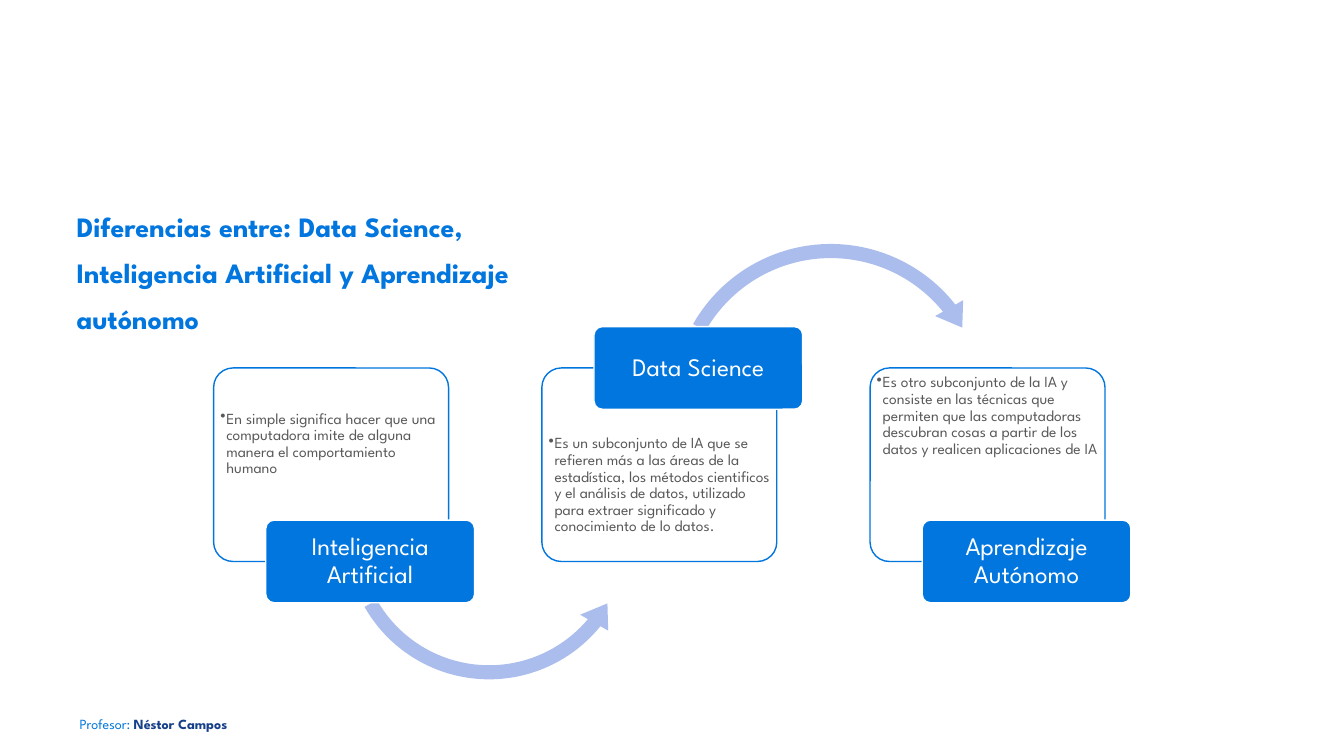
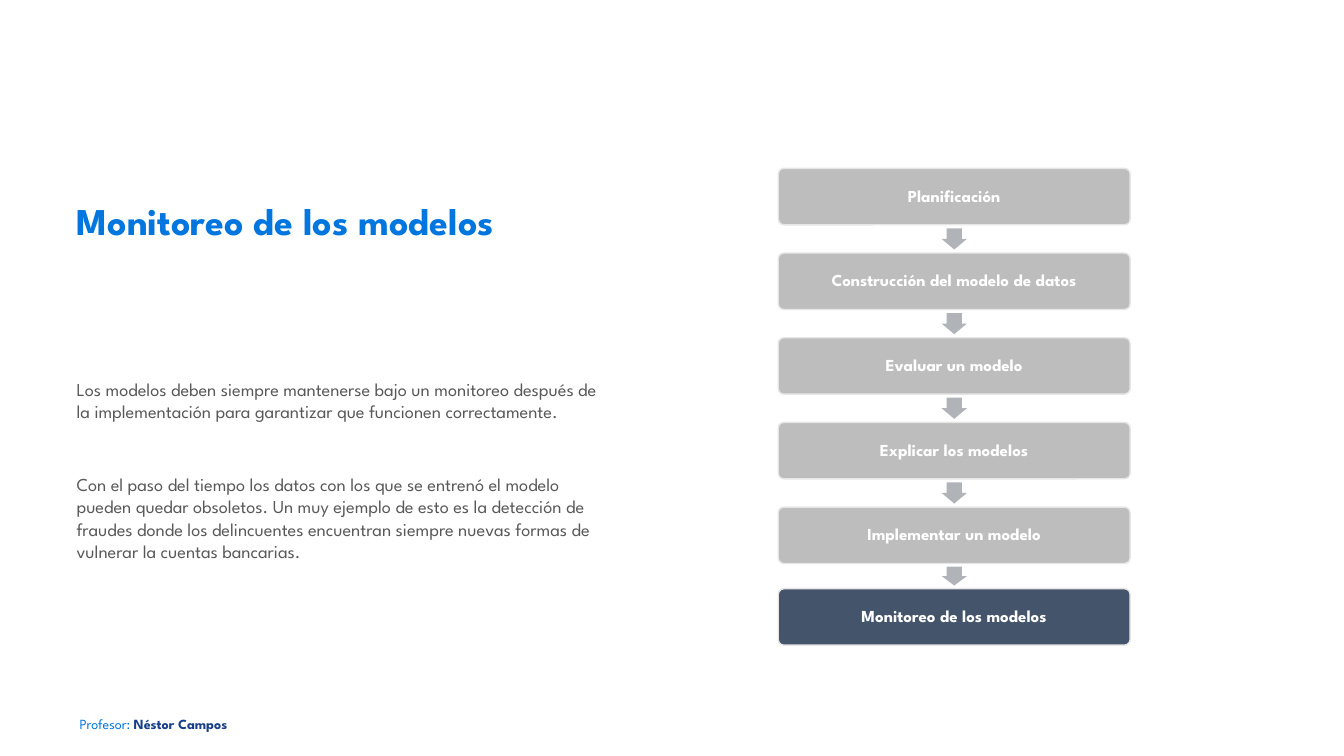
from lxml.etree import SubElement
from pptx import Presentation
from pptx.dml.color import RGBColor
from pptx.enum.shapes import MSO_SHAPE as SHAPE
from pptx.enum.text import MSO_ANCHOR as ANCHOR, PP_ALIGN as ALIGN
from pptx.oxml.ns import qn
from pptx.util import Inches, Pt

FONT = "League Spartan"
BLUE, NAVY, PERIWINKLE = "0176DE", "173F8A", "ABBDEC"
WHITE, GREY_TEXT, SLATE = "FFFFFF", "595959", "44546A"
GREY_STEP, GREY_EDGE, GREY_ARROW = "BDBDBD", "E7E6E6", "B0B4B9"
rgb = RGBColor.from_string

prs = Presentation()
prs.slide_width, prs.slide_height = Inches(13.33), Inches(7.5)
COL, ROW = prs.slide_width / 100, prs.slide_height / 100


def put(s, kind, x, y, w, h, fill=None, line=None, adj=()):
    box = [int(v) for v in (x * COL, y * ROW, w * COL, h * ROW)]
    if kind is None:
        return s.shapes.add_textbox(*box)
    sp = s.shapes.add_shape(kind, *box)
    sp.shadow.inherit = False
    sp.fill.solid()
    sp.fill.fore_color.rgb = rgb(fill)
    if line:
        sp.line.color.rgb = rgb(line)
        sp.line.width = Pt(1)
    else:
        sp.line.fill.background()
    for i, value in enumerate(adj):
        sp.adjustments[i] = value
    return sp


def write(sp, text, size, color, bold=False, spacing=0.9,
          align=ALIGN.LEFT, anchor=ANCHOR.TOP, inset=0):
    tf = sp.text_frame
    tf.word_wrap = True
    tf.vertical_anchor = anchor
    tf.margin_left = tf.margin_right = tf.margin_top = tf.margin_bottom = Inches(inset)
    tf.text = text
    for p in tf.paragraphs:
        p.alignment = align
        p.line_spacing = spacing
        for r in p.runs:
            r.font.name, r.font.size, r.font.bold = FONT, Pt(size), bold
            r.font.color.rgb = rgb(color)
    return tf


slides = []
for title, size in [
    ("Diferencias entre: Data Science, Inteligencia Artificial y Aprendizaje autónomo", 20),
    ("Monitoreo de los modelos", 27),
]:
    s = prs.slides.add_slide(prs.slide_layouts[6])
    tf = write(put(s, None, 5.93, 92.8, 15, 3.47), "Profesor: ", 10, BLUE, spacing=Pt(22))
    r = tf.paragraphs[0].add_run()
    r.text = "Néstor Campos"
    r.font.name, r.font.size, r.font.bold = FONT, Pt(10), True
    r.font.color.rgb = rgb(NAVY)
    write(put(s, None, 5.7, 26, 38.9, 9.33), title, size, BLUE, True, Pt(33))
    slides.append(s)
compare, monitor = slides

CARD_X, CARD_Y, CARD_W, CARD_H, CARD_STEP = 15.9, 48.67, 17.48, 25.6, 24.42
LABEL_W, LABEL_H, LABEL_SHIFT = 15.53, 10.93, 3.88
cards = [
    ("Inteligencia Artificial",
     "En simple significa hacer que una computadora imite de alguna manera el "
     "comportamiento humano",
     False, ANCHOR.MIDDLE,
     (SHAPE.LEFT_CIRCULAR_ARROW, 25.06, 50.8, 3.02, (9.85, 39.44, 150.41))),
    ("Data Science",
     "Es un subconjunto de IA que se refieren más a las áreas de la estadística, los "
     "métodos cientificos y el análisis de datos, utilizado para extraer significado y "
     "conocimiento de lo datos.",
     True, ANCHOR.MIDDLE,
     (SHAPE.CIRCULAR_ARROW, 49.36, 31.07, 3.32, (8.88, 321.53, 209.59))),
    ("Aprendizaje Autónomo",
     "Es otro subconjunto de la IA y consiste en las técnicas que permiten que las "
     "computadoras descubran cosas a partir de los datos y realicen aplicaciones de IA",
     False, ANCHOR.TOP, None),
]
for i, (label, text, label_on_top, anchor, arrow) in enumerate(cards):
    x = CARD_X + i * CARD_STEP
    sp = put(compare, SHAPE.ROUNDED_RECTANGLE, x, CARD_Y, CARD_W, CARD_H, WHITE, BLUE, [0.1])
    tf = write(sp, text, 11, GREY_TEXT, anchor=anchor, inset=0.01)
    if label_on_top:
        tf.margin_top = Inches(0.42)
    else:
        tf.margin_bottom = Inches(0.42)
    pPr = tf.paragraphs[0]._p.get_or_add_pPr()
    pPr.set("marL", str(Inches(0.06)))
    pPr.set("indent", str(-Inches(0.06)))
    SubElement(pPr, qn("a:buChar")).set("char", "•")
    if arrow:
        kind, left, top, side, angles = arrow
        adj = [0.14 / side, *(a * 0.6 for a in angles), 0.16 / side]
        put(compare, kind, left, top, Inches(side) / COL, Inches(side) / ROW, PERIWINKLE, adj=adj)
    edge = CARD_Y if label_on_top else CARD_Y + CARD_H
    sp = put(compare, SHAPE.ROUNDED_RECTANGLE, x + LABEL_SHIFT, edge - LABEL_H / 2,
             LABEL_W, LABEL_H, BLUE, WHITE, [0.1])
    write(sp, label, 18, WHITE, align=ALIGN.CENTER, anchor=ANCHOR.MIDDLE, inset=0.04)

tf = write(
    put(monitor, None, 5.7, 39.07, 38.93, 46.13),
    "Los modelos deben siempre mantenerse bajo un monitoreo después de la implementación "
    "para garantizar que funcionen correctamente.\n"
    "Con el paso del tiempo los datos con los que se entrenó el modelo pueden quedar "
    "obsoletos. Un muy ejemplo de esto es la detección de fraudes donde los delincuentes "
    "encuentran siempre nuevas formas de vulnerar la cuentas bancarias.",
    13, GREY_TEXT, spacing=Pt(16), anchor=ANCHOR.MIDDLE)
tf.paragraphs[1].space_before = Pt(36)

STEP_X, STEP_Y, STEP_W, STEP_H, STEP_GAP, LAST_GAP = 57.91, 22.27, 26.18, 7.47, 3.73, 3.33
ARROW_W = 1.88
steps = ["Planificación", "Construcción del modelo de datos", "Evaluar un modelo",
         "Explicar los modelos", "Implementar un modelo", "Monitoreo de los modelos"]
y = STEP_Y
for i, step in enumerate(steps):
    current = i == len(steps) - 1
    sp = put(monitor, SHAPE.ROUNDED_RECTANGLE, STEP_X, y, STEP_W, STEP_H,
             SLATE if current else GREY_STEP, GREY_EDGE, [0.1])
    write(sp, step, 12, WHITE, True, align=ALIGN.CENTER, anchor=ANCHOR.MIDDLE, inset=0.05)
    if not current:
        gap = LAST_GAP if i == len(steps) - 2 else STEP_GAP
        put(monitor, SHAPE.DOWN_ARROW, STEP_X + (STEP_W - ARROW_W) / 2,
            y + STEP_H + gap / 8, ARROW_W, gap * 0.75, GREY_ARROW, adj=[0.6, 0.5])
        y += STEP_H + gap

prs.save("out.pptx")
